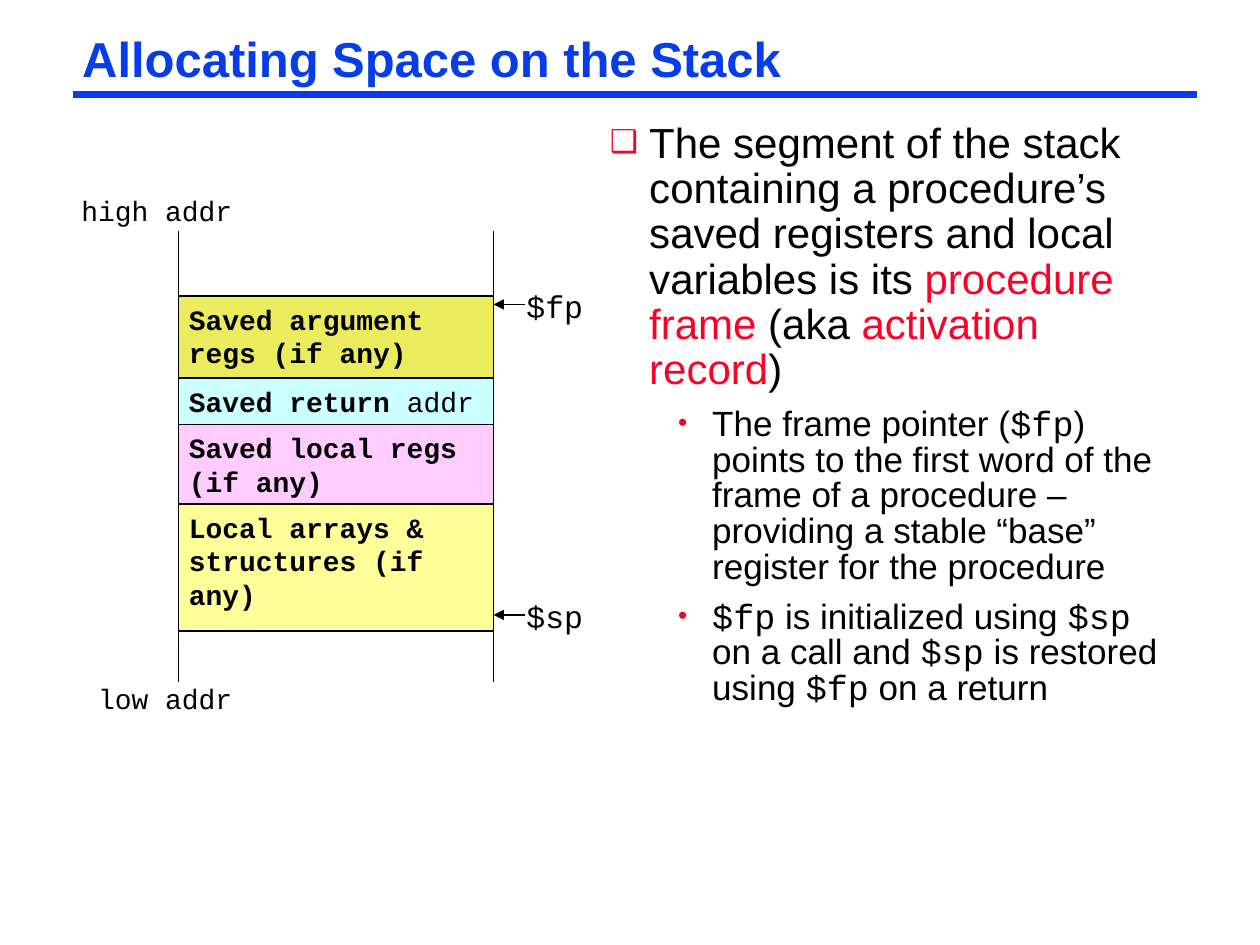
from pptx import Presentation
from pptx.util import Pt
from pptx.dml.color import RGBColor
from pptx.enum.shapes import MSO_SHAPE as Shape, MSO_CONNECTOR as Conn
from pptx.enum.text import MSO_ANCHOR as Anchor, PP_ALIGN as Align
from pptx.oxml.ns import qn
from lxml.etree import SubElement as Sub

BLUE, RED, BLACK = "063DE8", "FC0128", "000000"
SANS, MONO = "Arial", "Courier New"


def color(code):
    return RGBColor.from_string(code)


def write(para, text, size=18, font=SANS, ink=BLACK, bold=False):
    run = para.add_run()
    run.text = text
    face = run.font
    face.size, face.name, face.bold = Pt(size), font, bold
    face.color.rgb = color(ink)


def setup(frame, pad=(7.2, 3.6), wrap=True):
    frame.word_wrap = wrap
    frame.vertical_anchor = Anchor.TOP
    frame.margin_left = frame.margin_right = Pt(pad[0])
    frame.margin_top = frame.margin_bottom = Pt(pad[1])
    frame.paragraphs[0].alignment = Align.LEFT
    return frame


def textbox(slide, x, y, w, h, **opts):
    box = slide.shapes.add_textbox(Pt(x), Pt(y), Pt(w), Pt(h))
    return setup(box.text_frame, **opts)


def rule(slide, x1, y1, x2, y2, ink=BLACK, width=1, arrow=False):
    line = slide.shapes.add_connector(Conn.STRAIGHT, Pt(x1), Pt(y1), Pt(x2), Pt(y2))
    line.line.color.rgb = color(ink)
    line.line.width = Pt(width)
    if arrow:
        Sub(line.line._get_or_add_ln(), qn("a:tailEnd"), type="triangle")
    Sub(line._element.spPr, qn("a:effectLst"))


def bullet(para, mark, left, hang):
    props = para._p.get_or_add_pPr()
    props.set("marL", str(Pt(left)))
    props.set("indent", str(-Pt(hang)))
    Sub(Sub(props, qn("a:buClr")), qn("a:srgbClr"), val=RED)
    Sub(props, qn("a:buSzPct"), val="75000")
    Sub(props, qn("a:buFont"), typeface=SANS)
    Sub(props, qn("a:buChar"), char=mark)


def header(slide, x, y, w, h):
    rule(slide, x, y + 35.2, x + w, y + 35.2, ink=BLUE, width=4.5)
    para = textbox(slide, x, y, w, h, pad=(5, 2.4)).paragraphs[0]
    para.line_spacing = 0.87
    write(para, "Allocating Space on the Stack", size=28, ink=BLUE, bold=True)


def notes(slide, x, y, w, h):
    frame = textbox(slide, x, y, w, h, pad=(5, 2.4))
    items = [
        (0, [("The segment of the stack containing a procedure’s saved registers "
              "and local variables is its ", {}),
             ("procedure frame", {"ink": RED}), (" (aka ", {}),
             ("activation record", {"ink": RED}), (")", {})]),
        (1, [("The frame pointer (", {}), ("$fp", {"font": MONO}),
             (") points to the first word of the frame of a procedure – "
              "providing a stable “base” register for the procedure", {})]),
        (1, [("$fp", {"font": MONO}), (" is initialized using ", {}),
             ("$sp", {"font": MONO}), (" on a call and ", {}),
             ("$sp", {"font": MONO}), (" is restored using ", {}),
             ("$fp", {"font": MONO}), (" on a return", {})]),
    ]
    styles = [("❑", 22.5, 22.5, 24, 0.9, 0), ("•", 58.5, 19.5, 20, 0.85, 8)]
    for i, (level, runs) in enumerate(items):
        mark, left, hang, size, lines, before = styles[level]
        para = frame.add_paragraph() if i else frame.paragraphs[0]
        para.level = level
        para.line_spacing, para.space_before = lines, Pt(before)
        bullet(para, mark, left, hang)
        for text, look in runs:
            write(para, text, size=size, **look)


def label(slide, text, x, y, w, h, size):
    frame = textbox(slide, x, y, w, h, wrap=False)
    write(frame.paragraphs[0], text, size=size, font=MONO)


def block(slide, x, y, w, h, fill, runs):
    rect = slide.shapes.add_shape(Shape.RECTANGLE, Pt(x), Pt(y), Pt(w), Pt(h))
    rect.shadow.inherit = False
    rect.fill.solid()
    rect.fill.fore_color.rgb = color(fill)
    rect.line.color.rgb = color(BLACK)
    rect.line.width = Pt(1)
    para = setup(rect.text_frame, pad=(6, 3.6)).paragraphs[0]
    for text, bold in runs:
        write(para, text, size=16, font=MONO, bold=bold)


def stack(slide, x, y, w, h):
    for side in (x, x + w):
        rule(slide, side, y, side, y + h)
    label(slide, "low addr", x - 53, y + h - 4, 91.4, 26.6, 16)
    label(slide, "high addr", x - 62.6, y - 25, 101, 26.6, 16)
    parts = [
        (46.8, "EAEC5E", [("Saved argument regs (if any)", True)]),
        (26.6, "CCFFFF", [("Saved return ", True), ("addr", False)]),
        (45.4, "FFCCFF", [("Saved local regs (if any)", True)]),
        (72.7, "FFFF99", [("Local arrays & structures (if any)", True)]),
    ]
    top = y + 37.2
    for tall, fill, runs in parts:
        block(slide, x, top, w, tall, fill, runs)
        top += tall
    for name, tip in (("$fp", 42), ("$sp", 219.4)):
        label(slide, name, x + w + 11.7, y + tip - 13.5, 46.8, 28.8, 18)
        rule(slide, x + w + 18, y + tip, x + w, y + tip, arrow=True)


deck = Presentation()
deck.slide_width, deck.slide_height = Pt(720), Pt(540)
page = deck.slides.add_slide(deck.slide_layouts[6])
header(page, 42, 18.8, 642, 33)
notes(page, 343.5, 67.2, 326, 400)
stack(page, 102, 132, 180, 258)
deck.save("out.pptx")
